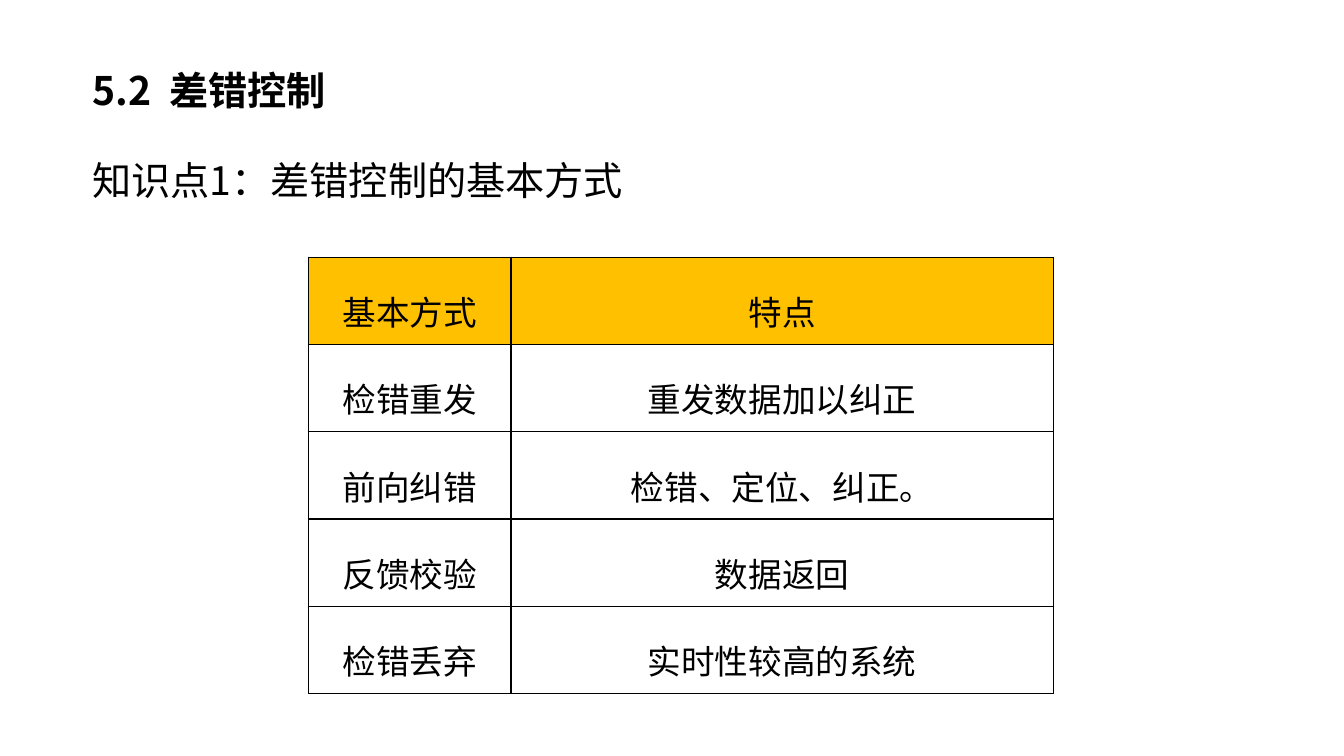
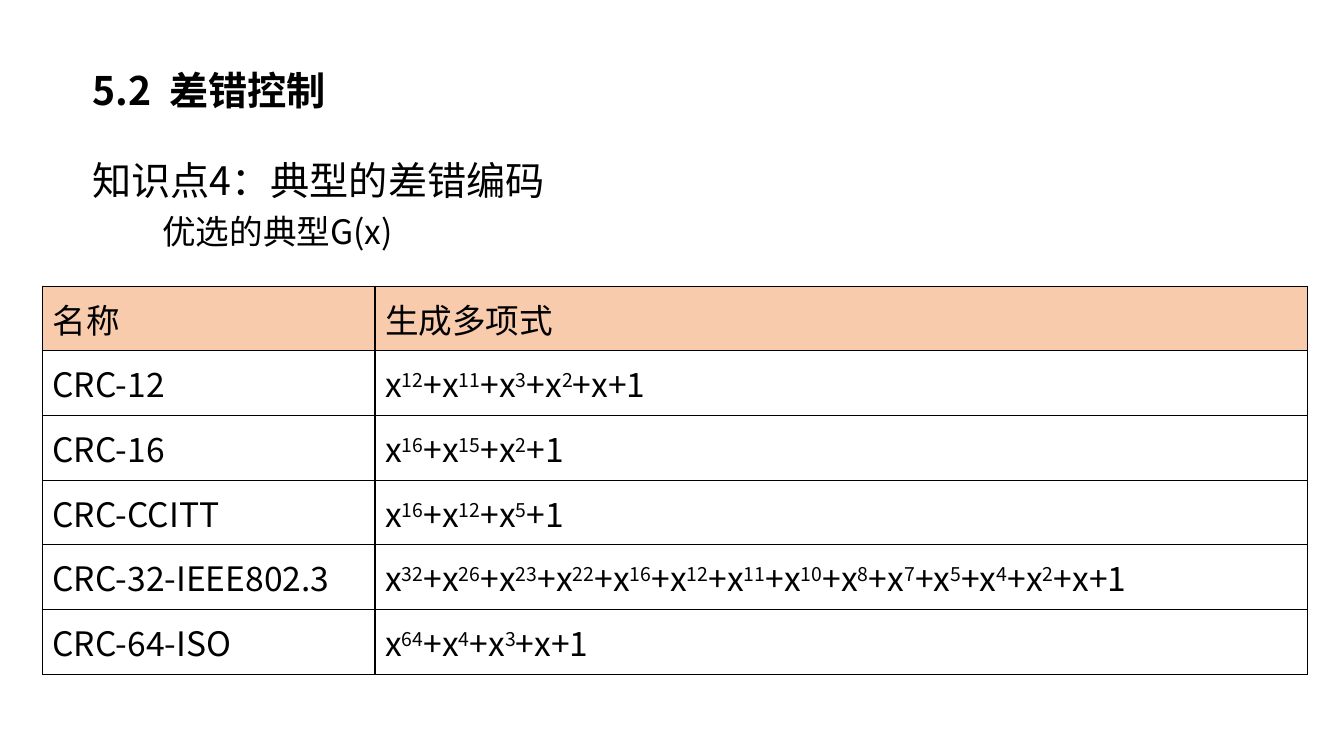
from lxml import etree
from pptx import Presentation
from pptx.dml.color import RGBColor
from pptx.enum import text
from pptx.oxml import ns
from pptx.util import Cm, Pt

# Shared look
FONT = "Noto Sans CJK SC"
BLACK = RGBColor(0x00, 0x00, 0x00)
AMBER = RGBColor(0xFF, 0xC0, 0x00)
PEACH = RGBColor(0xF8, 0xCB, 0xAD)
HEADING, BODY = 28, 24
TITLE_AT = (2.03, 1.65, 24.51, 1.5)
TOPIC_AT = (2.03, 2.92, 30.89, 2.64)
NOTE_AT = (3.84, 5.31, 10.21, 1.27)
INSETS = {"margin_left": Cm(0.3), "margin_right": Cm(0.3),
          "margin_top": Cm(0.15), "margin_bottom": Cm(0.15)}
GROW = {"auto_size": text.MSO_AUTO_SIZE.SHAPE_TO_FIT_TEXT}
TOP = text.MSO_ANCHOR.TOP
MIDDLE = text.MSO_ANCHOR.MIDDLE
LEFT = {"alignment": text.PP_ALIGN.LEFT}
TIGHT = {"line_spacing": 0.9, **LEFT}
LOOSE = {"line_spacing": 1.5}
RAISED = {"baseline": "30000"}
WIDE = {"spc": "630"}


def polynomial(*exponents):
    """Runs for a sum of powers of x, with raised exponents."""
    runs, plain = [], ""
    for i, n in enumerate(exponents):
        plain += ("+" if i else "") + ("x" if n else "1")
        if n > 1:
            runs += [(plain, {}), (str(n), RAISED)]
            plain = ""
    return runs + [(plain, {})]


# Content
TITLE = [("5.2", {}), (" ", WIDE), ("差错控制", {})]
METHODS = [
    ("基本方式", "特点"),
    ("检错重发", "重发数据加以纠正"),
    ("前向纠错", "检错、定位、纠正。"),
    ("反馈校验", "数据返回"),
    ("检错丢弃", "实时性较高的系统"),
]
CODES = [
    ("名称", "生成多项式"),
    ("CRC-12", polynomial(12, 11, 3, 2, 1, 0)),
    ("CRC-16", polynomial(16, 15, 2, 0)),
    ("CRC-CCITT", polynomial(16, 12, 5, 0)),
    ("CRC-32-IEEE802.3", polynomial(32, 26, 23, 22, 16, 12, 11, 10,
                                    8, 7, 5, 4, 2, 1, 0)),
    ("CRC-64-ISO", polynomial(64, 4, 3, 1, 0)),
]
SLIDES = [
    {"topic": "知识点1：差错控制的基本方式", "note": None,
     "table": {"rows": METHODS, "left": 7.77, "top": 6.48,
               "widths": (5.11, 13.66), "row_height": 2.2,
               "head": AMBER, "anchor": TOP,
               "para": {"alignment": text.PP_ALIGN.CENTER, **LOOSE}}},
    {"topic": "知识点4：典型的差错编码", "note": "优选的典型G(x)",
     "table": {"rows": CODES, "left": 1.07, "top": 7.21,
               "widths": (8.38, 23.5), "row_height": 1.63,
               "head": PEACH, "anchor": MIDDLE, "para": LEFT}},
]


def set_all(obj, values):
    for name, value in values.items():
        setattr(obj, name, value)


def write(tf, content, size, para, bold=False):
    """Fill the first paragraph with a string or (text, attributes) runs."""
    p = tf.paragraphs[0]
    set_all(p, {"space_before": Pt(0), **para})
    for words, attributes in [(content, {})] if isinstance(content, str) else content:
        r = p.add_run()
        r.text = words
        set_all(r.font, {"name": FONT, "size": Pt(size), "bold": bold})
        r.font.color.rgb = BLACK
        rPr = r.font._element
        etree.SubElement(rPr, ns.qn("a:ea"), typeface=FONT)
        for name, value in attributes.items():
            rPr.set(name, value)


def add_text(s, at, content, size, para, frame):
    sp = s.shapes.add_textbox(*map(Cm, at))
    set_all(sp.text_frame, {"word_wrap": True, **frame})
    write(sp.text_frame, content, size, para)


def add_borders(cell):
    tcPr = cell._tc.get_or_add_tcPr()
    for side in "LRTB":
        ln = etree.SubElement(tcPr, ns.qn(f"a:ln{side}"), w=str(Pt(1)))
        fill = etree.SubElement(ln, ns.qn("a:solidFill"))
        etree.SubElement(fill, ns.qn("a:srgbClr"), val=str(BLACK))


def add_grid(s, rows, left, top, widths, row_height, head, anchor, para):
    frame = s.shapes.add_table(len(rows), len(widths), Cm(left), Cm(top),
                               Cm(sum(widths)), Cm(row_height * len(rows)))
    table = frame.table
    set_all(table, {"first_row": False, "horz_banding": False})
    for column, width in zip(table.columns, widths):
        column.width = Cm(width)
    for i, row in enumerate(rows):
        table.rows[i].height = Cm(row_height)
        for j, content in enumerate(row):
            cell = table.cell(i, j)
            cell.vertical_anchor = anchor
            add_borders(cell)
            if i == 0:
                cell.fill.solid()
                cell.fill.fore_color.rgb = head
            else:
                cell.fill.background()
            write(cell.text_frame, content, BODY, para)


def add_slide(prs, topic, note, table):
    s = prs.slides.add_slide(prs.slide_layouts[5])
    # Section title
    title = s.shapes.title
    set_all(title, dict(zip(("left", "top", "width", "height"), map(Cm, TITLE_AT))))
    set_all(title.text_frame, {"word_wrap": True, "vertical_anchor": TOP,
                               **GROW, **INSETS})
    write(title.text_frame, TITLE, HEADING, TIGHT, bold=True)
    # Topic line, table and note
    add_text(s, TOPIC_AT, topic, HEADING, LOOSE,
             {"vertical_anchor": MIDDLE, **INSETS})
    add_grid(s, **table)
    if note:
        add_text(s, NOTE_AT, note, BODY, TIGHT, GROW)


def main():
    prs = Presentation()
    set_all(prs, {"slide_width": Cm(33.87), "slide_height": Cm(19.05)})
    for content in SLIDES:
        add_slide(prs, **content)
    prs.save("out.pptx")


if __name__ == "__main__":
    main()
